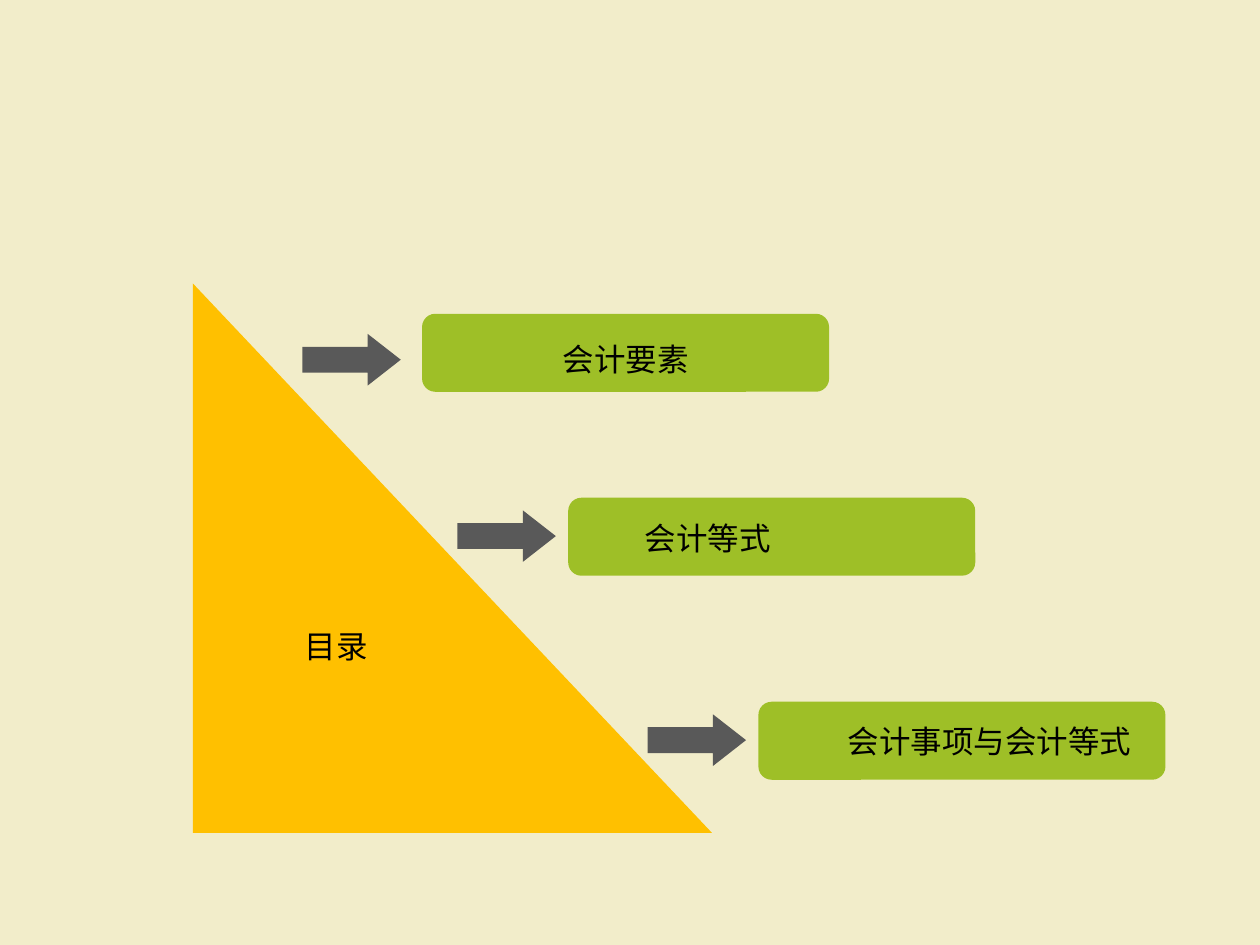
from lxml.etree import SubElement
from pptx import Presentation
from pptx.dml.color import RGBColor
from pptx.enum.shapes import MSO_SHAPE as Shape
from pptx.enum.text import MSO_AUTO_SIZE as AutoSize
from pptx.oxml.ns import qn
from pptx.util import Pt

CJK = "Noto Sans CJK SC"
TEXT_SIZE = 18
INSET = 7.2
BOX_W, BOX_H = 232.6, 44.6
ARROW_W, ARROW_H = 56.2, 29.5
ENTRIES = [
    ("会计要素", CJK, (241.2, 179.3), (172.8, 190.8), (314.6, 190.8)),
    ("会计等式", CJK, (324.7, 284.4), (261.4, 291.6), (361.4, 293)),
    ("会计事项与会计等式", "Calibri", (433.4, 401), (370.1, 408.2), (477.4, 409)),
]


def paint(fill, color):
    """Give a fill one solid hex colour."""
    fill.solid()
    fill.fore_color.rgb = RGBColor.from_string(color)


def add_block(s, kind, x, y, w, h, color, adjustments=()):
    """Add a flat preset shape without an outline."""
    sp = s.shapes.add_shape(kind, Pt(x), Pt(y), Pt(w), Pt(h))
    sp.shadow.inherit = False
    sp.line.fill.background()
    paint(sp.fill, color)
    for i, value in enumerate(adjustments):
        sp.adjustments[i] = value


def add_label(s, text, x, y, font):
    """Add a one-line label in a box sized to its full-width characters."""
    width = len(text) * TEXT_SIZE + 2 * INSET
    tf = s.shapes.add_textbox(Pt(x), Pt(y), Pt(width), Pt(28.8)).text_frame
    frame_format = {"word_wrap": False, "auto_size": AutoSize.SHAPE_TO_FIT_TEXT}
    for name, value in frame_format.items():
        setattr(tf, name, value)
    r = tf.paragraphs[0].add_run()
    r.text = text
    for name, value in {"name": font, "size": Pt(TEXT_SIZE)}.items():
        setattr(r.font, name, value)
    r.font.color.rgb = RGBColor.from_string("000000")
    SubElement(r._r.get_or_add_rPr(), qn("a:ea"), typeface=CJK)


def main():
    """Build the contents slide and save it."""
    prs = Presentation()
    prs.slide_width, prs.slide_height = Pt(720), Pt(540)
    s = prs.slides.add_slide(prs.slide_layouts[6])
    paint(s.background.fill, "F2EDCA")
    add_block(s, Shape.RIGHT_TRIANGLE, 110.2, 162, 296.6, 313.9, "FFC000")
    for text, font, box, arrow, label in ENTRIES:
        add_block(s, Shape.ROUNDED_RECTANGLE, *box, BOX_W, BOX_H, "9EBF27", [0.17])
        add_block(s, Shape.RIGHT_ARROW, *arrow, ARROW_W, ARROW_H, "595959", [0.5, 0.64])
        add_label(s, text, *label, font)
    add_label(s, "目录", 167, 355, CJK)
    prs.save("out.pptx")


if __name__ == "__main__":
    main()
